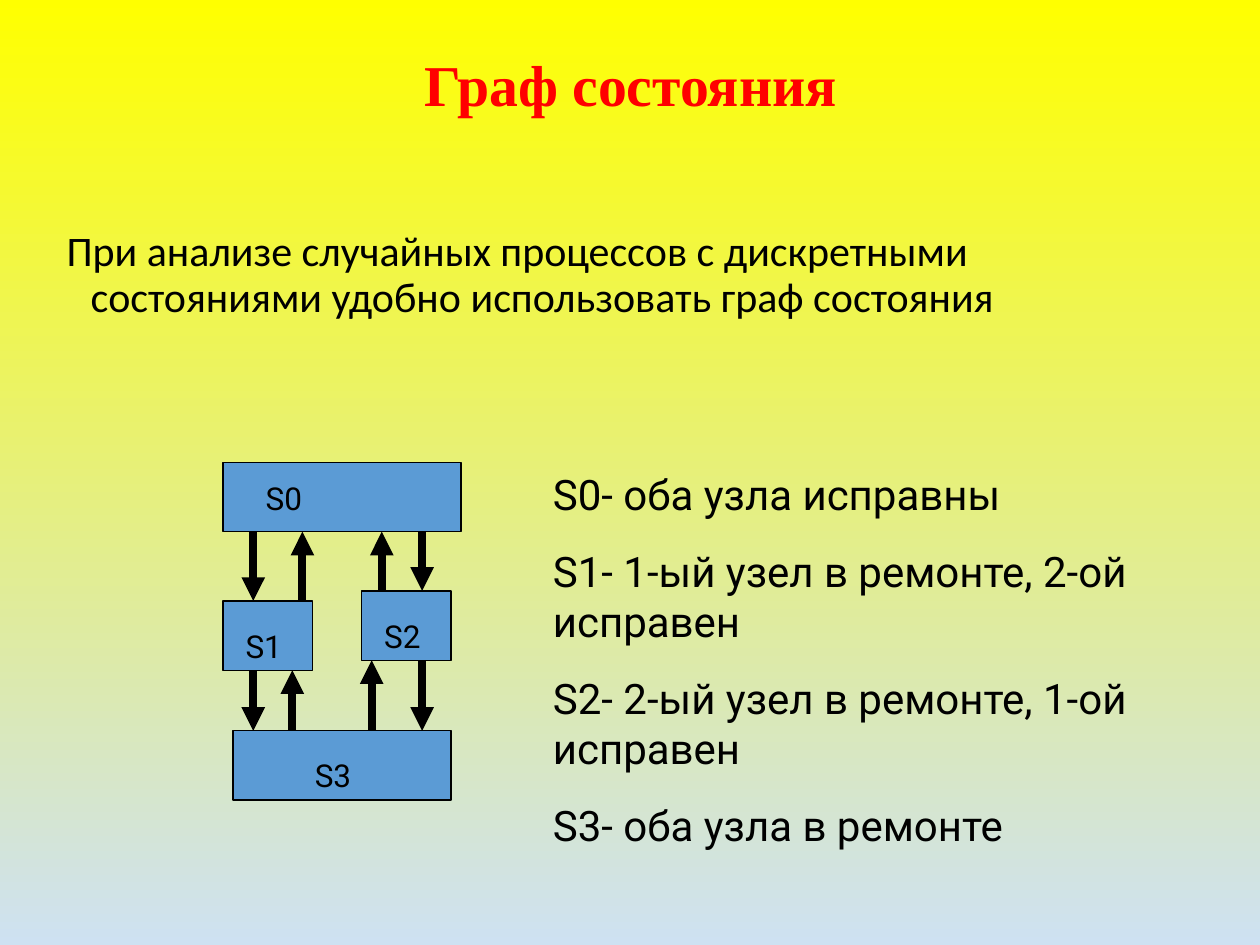
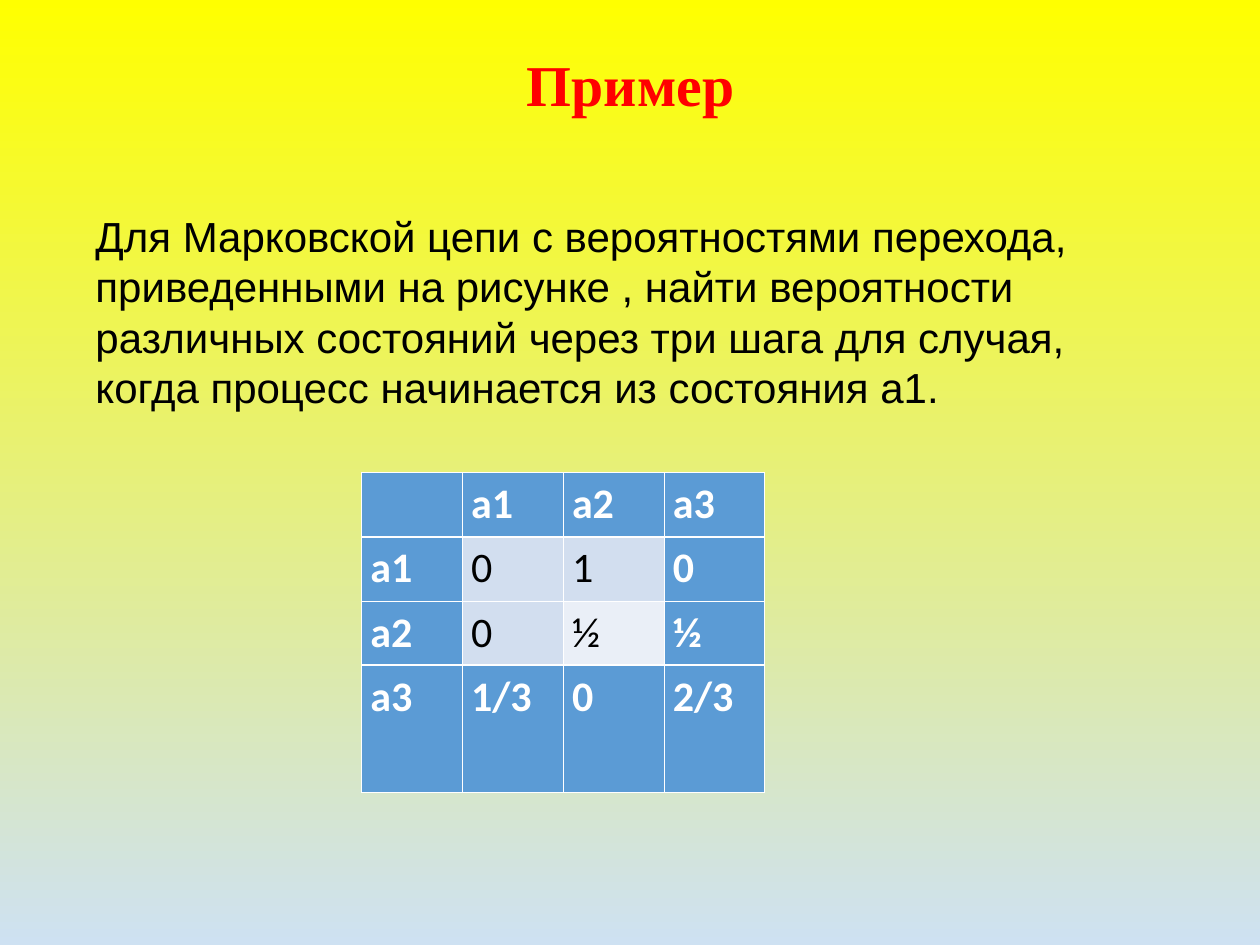
from lxml import etree
from pptx import Presentation, util as u
from pptx.dml.color import RGBColor
from pptx.enum import shapes, text
from pptx.oxml import ns

YELLOW = RGBColor(0xFF, 0xFF, 0x00)
PALE_BLUE = RGBColor(0xCE, 0xE1, 0xF2)
RED = RGBColor(0xFF, 0x00, 0x00)
BLACK = RGBColor(0x00, 0x00, 0x00)
WHITE = RGBColor(0xFF, 0xFF, 0xFF)
BLUE = RGBColor(0x5B, 0x9B, 0xD5)
BAND_DARK = RGBColor(0xD2, 0xDE, 0xEF)
BAND_LIGHT = RGBColor(0xEA, 0xEF, 0xF7)
THIN, THICK = 0.45, 1.47


def add_xml(parent, tag, **attrs):
    return etree.SubElement(parent, ns.qn(tag), attrs)


class Deck:
    def __init__(self):
        self.prs = Presentation()
        self.prs.slide_width = u.Inches(10)
        self.prs.slide_height = u.Inches(7.5)
        self.s = None

    def slide(self, title):
        self.s = self.prs.slides.add_slide(self.prs.slide_layouts[6])
        fill = self.s.background.fill
        fill.gradient()
        fill.gradient_angle = 270
        for stop, position, color in zip(fill.gradient_stops, (0, 1), (YELLOW, PALE_BLUE)):
            stop.position = position
            stop.color.rgb = color
        tf = self.text(0.69, 0.4, 8.63, 0.59, [title], "Times New Roman", 33,
                       color=RED, bold=True, line_spacing=0.9)
        tf.vertical_anchor = text.MSO_ANCHOR.MIDDLE
        tf.paragraphs[0].alignment = text.PP_ALIGN.CENTER

    def style(self, p, font, size, color=BLACK, bold=False):
        for r in p.runs:
            r.font.name = font
            r.font.size = u.Pt(size)
            r.font.color.rgb = color
            r.font.bold = bold

    def text(self, x, y, w, h, lines, font, size=24, color=BLACK, bold=False,
             space_before=0, line_spacing=1.0, hanging=0):
        sp = self.s.shapes.add_textbox(u.Inches(x), u.Inches(y), u.Inches(w), u.Inches(h))
        tf = sp.text_frame
        tf.word_wrap = True
        tf.text = "\n".join(lines)
        for p in tf.paragraphs:
            p.space_before = u.Pt(space_before)
            p.line_spacing = line_spacing
            if hanging:
                pPr = p._p.get_or_add_pPr()
                pPr.set("marL", str(u.Inches(hanging)))
                pPr.set("indent", str(-u.Inches(hanging)))
            self.style(p, font, size, color, bold)
        return tf

    def box(self, x, y, w, h):
        sp = self.s.shapes.add_shape(shapes.MSO_SHAPE.RECTANGLE, u.Inches(x), u.Inches(y),
                                     u.Inches(w), u.Inches(h))
        sp.shadow.inherit = False
        sp.fill.solid()
        sp.fill.fore_color.rgb = BLUE
        sp.line.color.rgb = BLACK
        sp.line.width = u.Pt(0.75)

    def arrow(self, x, start, end):
        """Draw a vertical arrow with its head at end."""
        line = self.s.shapes.add_connector(shapes.MSO_CONNECTOR.STRAIGHT, u.Inches(x),
                                           u.Inches(start), u.Inches(x), u.Inches(end))
        line.line.color.rgb = BLACK
        line.line.width = u.Pt(4.5)
        add_xml(line.line._get_or_add_ln(), "a:tailEnd", type="triangle")
        add_xml(line._element.spPr, "a:effectLst")

    def cell(self, cell, value, fill, color, bold, top, bottom):
        cell.text = value
        self.style(cell.text_frame.paragraphs[0], "Calibri", 24, color, bold)
        cell.margin_left = cell.margin_right = u.Inches(0.07)
        cell.margin_top = cell.margin_bottom = u.Inches(0.05)
        tcPr = cell._tc.get_or_add_tcPr()
        for side, width in zip("LRTB", (THIN, THIN, top, bottom)):
            ln = add_xml(tcPr, f"a:ln{side}", w=str(u.Pt(width)))
            add_xml(add_xml(ln, "a:solidFill"), "a:srgbClr", val=str(WHITE))
        cell.fill.solid()
        cell.fill.fore_color.rgb = fill

    def table(self, x, y, col_width, row_heights, rows, body_fills):
        """Cells named in body_fills are plain; all others look like headers."""
        cols = len(rows[0])
        frame = self.s.shapes.add_table(len(rows), cols, u.Inches(x), u.Inches(y),
                                        u.Inches(col_width * cols), u.Inches(sum(row_heights)))
        table = frame.table
        table.first_row = table.horz_banding = False
        for column in table.columns:
            column.width = u.Inches(col_width)
        for i, (values, height) in enumerate(zip(rows, row_heights)):
            table.rows[i].height = u.Inches(height)
            top, bottom = (THICK, THIN) if i % 2 else (THIN, THICK)
            for j, value in enumerate(values):
                plain = (i, j) in body_fills
                self.cell(table.cell(i, j), value, body_fills.get((i, j), BLUE),
                          BLACK if plain else WHITE, not plain, top, bottom)


def state_graph(deck):
    deck.slide("Граф состояния")
    deck.text(0.43, 1.78, 8.88, 4.97,
              ["При анализе случайных процессов c дискретными состояниями "
               "удобно использовать граф состояния"],
              "Calibri", space_before=7.5, line_spacing=0.9, hanging=0.19)

    height = 0.55
    s0_top, s1_top, s2_top, s3_top = 3.67, 4.77, 4.69, 5.8
    s0_end, s1_end, s2_end = (top + height for top in (s0_top, s1_top, s2_top))
    for x, y, w in ((1.77, s1_top, 0.71), (1.85, s3_top, 1.73),
                    (2.87, s2_top, 0.71), (1.77, s0_top, 1.89)):
        deck.box(x, y, w, height)

    for down_x, up_x, upper, lower in ((2.01, 2.4, s0_end, s1_top), (3.35, 3.03, s0_end, s2_top),
                                       (2.01, 2.32, s1_end, s3_top), (3.35, 2.95, s2_end, s3_top)):
        deck.arrow(down_x, upper, lower)
        deck.arrow(up_x, lower, upper)

    for name, x, y, w in (("S0", 2.01, 3.75, 0.95), ("S1", 1.85, 4.93, 0.55),
                          ("S2", 2.95, 4.85, 0.55), ("S3", 2.4, 5.95, 0.55)):
        deck.text(x, y, w, 0.4, [name], "Roboto", 18, space_before=11.2)

    deck.text(4.29, 3.67, 5.43, 3.74,
              ["S0- оба узла исправны",
               "S1- 1-ый узел в ремонте, 2-ой исправен",
               "S2- 2-ый узел в ремонте, 1-ой исправен",
               "S3- оба узла в ремонте"],
              "Roboto", space_before=15)


def markov_example(deck):
    deck.slide("Пример")
    deck.table(2.87, 3.75, 0.8, (0.51, 0.51, 0.51, 1.01),
               (("", "a1", "a2", "a3"),
                ("a1", "0", "1", "0"),
                ("a2", "0", "½", "½"),
                ("a3", "1/3", "0", "2/3")),
               {(1, 1): BAND_DARK, (1, 2): BAND_DARK, (2, 1): BAND_DARK, (2, 2): BAND_LIGHT})
    deck.text(0.66, 1.62, 8.56, 1.7,
              ["Для Марковской цепи с вероятностями перехода, приведенными на рисунке , "
               "найти вероятности различных состояний через три шага для случая, "
               "когда процесс начинается из состояния а1."],
              "Arial")


def main():
    deck = Deck()
    state_graph(deck)
    markov_example(deck)
    deck.prs.save("out.pptx")


if __name__ == "__main__":
    main()
